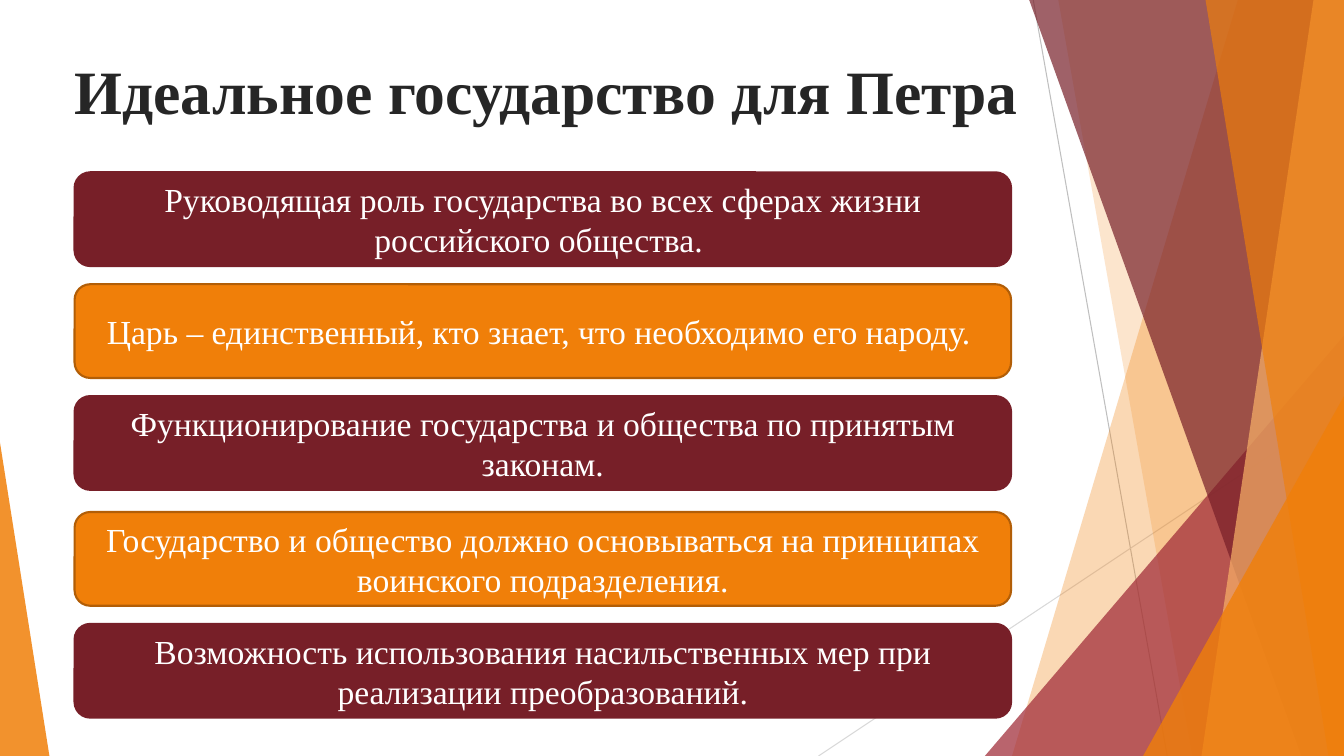
from dataclasses import dataclass

from pptx import Presentation
from pptx.dml.color import RGBColor
from pptx.enum.shapes import MSO_CONNECTOR as Connector, MSO_SHAPE as Preset
from pptx.enum.text import MSO_ANCHOR as Anchor, MSO_AUTO_SIZE as AutoSize, PP_ALIGN as Align
from pptx.oxml.ns import qn
from pptx.util import Inches, Pt
from lxml.etree import SubElement

WIDTH, HEIGHT = Inches(13.333), Inches(7.5)


@dataclass(frozen=True)
class Theme:
    font: str = "Times New Roman"
    title_size: int = 44
    bar_size: int = 24
    title: str = "262626"
    white: str = "FFFFFF"
    wine: str = "771F28"
    red: str = "9F2936"
    orange: str = "F07F09"
    orange_edge: str = "B25E07"
    peach: str = "F9B268"
    ray_dark: str = "BFBFBF"
    ray_light: str = "D9D9D9"


THEME = Theme()

TITLE = "Идеальное государство для Петра"
IDEAS = [
    "Руководящая роль государства во всех сферах жизни российского общества. ",
    "Царь – единственный, кто знает, что необходимо его народу. ",
    "Функционирование государства и общества по принятым законам.",
    "Государство и общество должно основываться на принципах воинского подразделения.",
    "Возможность использования насильственных мер при реализации преобразований.",
]

# Lengths are percentages of the slide's width and height
BAR_LEFT, BAR_TOP, BAR_WIDTH, BAR_HEIGHT = 5.55, 22.8, 69.68, 12.4
BAR_PITCH, GROUP_GAP, FIRST_GROUP = 14.8, 0.53, 3


def across(percent):
    return round(WIDTH * percent / 100)


def down(percent):
    return round(HEIGHT * percent / 100)


def box(left, top, width, height):
    return across(left), down(top), across(width), down(height)


def apply_format(target, values):
    for name, value in values.items():
        setattr(target, name, value)


def paint(shape, color, opacity=100, edge=None):
    shape.shadow.inherit = False
    shape.fill.solid()
    shape.fill.fore_color.rgb = RGBColor.from_string(color)
    if opacity < 100:
        color_element = shape.fill._xPr.find(qn("a:solidFill"))[0]
        SubElement(color_element, qn("a:alpha"), val=str(opacity * 1000))
    if edge:
        shape.line.color.rgb = RGBColor.from_string(edge)
        shape.line.width = Pt(1.5)
    else:
        shape.line.fill.background()


def write_text(shape, text, size, color, bold=False):
    frame = shape.text_frame
    apply_format(frame, {"word_wrap": True, "auto_size": AutoSize.NONE,
                         "vertical_anchor": Anchor.MIDDLE})
    paragraph = frame.paragraphs[0]
    paragraph.alignment = Align.CENTER
    run = paragraph.add_run()
    run.text = text
    apply_format(run.font, {"name": THEME.font, "size": Pt(size), "bold": bold})
    run.font.color.rgb = RGBColor.from_string(color)


def add_ray(slide, start, end, color):
    ray = slide.shapes.add_connector(Connector.STRAIGHT, across(start[0]), down(start[1]),
                                     across(end[0]), down(end[1]))
    ray.line.color.rgb = RGBColor.from_string(color)
    ray.line.width = Pt(0.75)
    SubElement(ray._element.spPr, qn("a:effectLst"))


def add_band(slide, top_left, bottom_left, color, opacity):
    """Full-height band from a slanted left edge to the slide's right edge."""
    builder = slide.shapes.build_freeform(across(top_left), 0, scale=1.0)
    corners = [(100, 0), (100, 100), (bottom_left, 100)]
    builder.add_line_segments([(across(x), down(y)) for x, y in corners], close=True)
    paint(builder.convert_to_shape(), color, opacity)


def add_corner(slide, left, top, width, apex, color, opacity):
    """Right-angled triangle standing on the slide's bottom edge."""
    corner = slide.shapes.add_shape(Preset.ISOSCELES_TRIANGLE,
                                    *box(left, top, width, 100 - top))
    corner.adjustments[0] = apex
    paint(corner, color, opacity)


def add_decoration(slide):
    add_ray(slide, (76.88, 0), (86.85, 100), THEME.ray_dark)
    add_ray(slide, (100, 53.73), (60.9, 100), THEME.ray_light)
    add_band(slide, 92.1, 75.3, THEME.orange, 30)
    add_band(slide, 78.75, 88.73, THEME.orange, 20)
    add_corner(slide, 73.28, 44.4, 26.72, 1, THEME.red, 72)
    add_band(slide, 76.58, 96.83, THEME.wine, 70)
    add_band(slide, 97.73, 89.4, THEME.peach, 70)
    add_band(slide, 89.7, 98.85, THEME.orange, 65)
    add_corner(slide, 85.05, 52.4, 14.95, 1, THEME.orange, 80)
    add_corner(slide, 0, 58.53, 3.68, 0, THEME.orange, 85)


def add_title(slide, text):
    title = slide.shapes.title
    left, top, width, height = box(-4.58, 6.27, 90.53, 11.2)
    apply_format(title, {"left": left, "top": top, "width": width, "height": height})
    write_text(title, text, THEME.title_size, THEME.title, bold=True)


def add_idea_bar(slide, index, text):
    top = BAR_TOP + index * BAR_PITCH + (GROUP_GAP if index >= FIRST_GROUP else 0)
    bar = slide.shapes.add_shape(Preset.ROUNDED_RECTANGLE,
                                 *box(BAR_LEFT, top, BAR_WIDTH, BAR_HEIGHT))
    if index % 2:
        paint(bar, THEME.orange, edge=THEME.orange_edge)
    else:
        paint(bar, THEME.wine, edge=THEME.wine)
    write_text(bar, text, THEME.bar_size, THEME.white)


def main():
    presentation = Presentation()
    apply_format(presentation, {"slide_width": WIDTH, "slide_height": HEIGHT})
    slide = presentation.slides.add_slide(presentation.slide_layouts[5])

    # Slanted bands and rays behind the content
    add_decoration(slide)

    # Heading and the five alternating bars
    add_title(slide, TITLE)
    for index, idea in enumerate(IDEAS):
        add_idea_bar(slide, index, idea)

    presentation.save("out.pptx")


if __name__ == "__main__":
    main()
